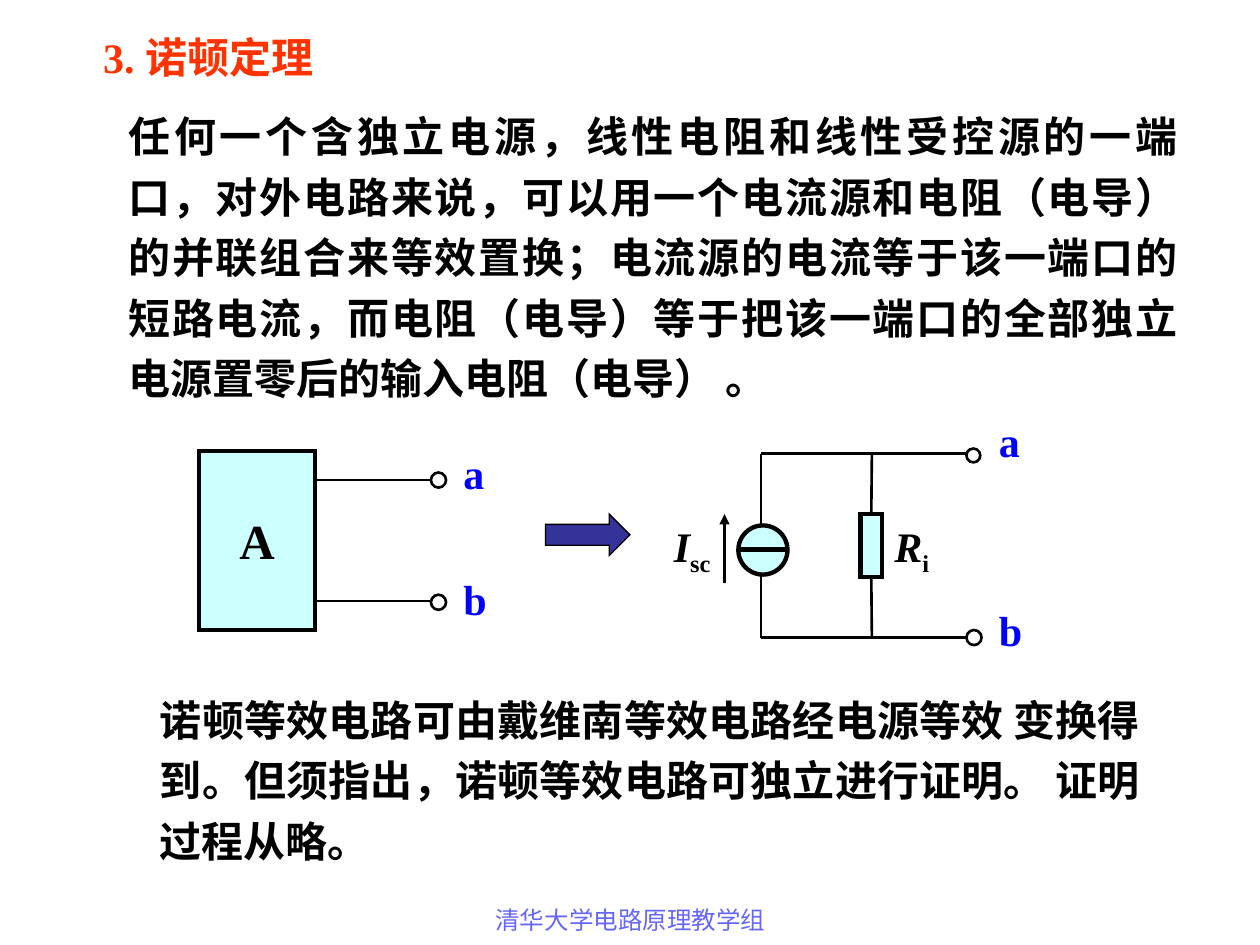
from lxml import etree
from pptx import Presentation
from pptx.dml.color import RGBColor
from pptx.enum import shapes, text
from pptx.oxml.ns import qn
from pptx.util import Inches, Pt

COLORS = {"ink": "000000", "heading": "FF3300", "terminal": "0000FF",
          "element": "CCFFFF", "arrow": "333399", "footer": "6666FF"}
KIND = shapes.MSO_SHAPE
ALIGN = text.PP_ALIGN
TOP, MIDDLE = text.MSO_ANCHOR.TOP, text.MSO_ANCHOR.MIDDLE

prs = Presentation()
prs.slide_width, prs.slide_height = Inches(10), Inches(7.5)
slide = prs.slides.add_slide(prs.slide_layouts[6])


def add_part(kind, box, fill, width):
    """Add an outlined circuit part; fill is a colour name or None."""
    part = slide.shapes.add_shape(kind, *map(Inches, box))
    part.shadow.inherit = False
    if fill:
        part.fill.solid()
        part.fill.fore_color.rgb = RGBColor.from_string(COLORS[fill])
    else:
        part.fill.background()
    part.line.color.rgb = RGBColor.from_string(COLORS["ink"])
    part.line.width = Pt(width)
    etree.SubElement(part.line._get_or_add_ln(), qn("a:miter"), lim="800000")
    return part


add_part(KIND.RIGHT_ARROW, (4.33, 4.08, 0.67, 0.33), "arrow", 0.75)
add_part(KIND.RECTANGLE, (1.58, 3.58, 0.92, 1.42), "element", 2.25)
resistor = add_part(KIND.RECTANGLE, (6.83, 4.08, 0.17, 0.5), "element", 2.5)
add_part(KIND.OVAL, (5.86, 4.17, 0.39, 0.39), "element", 2.5)
for left, top, size in [(3.42, 3.75, 0.12), (3.42, 4.72, 0.12),
                        (7.67, 3.56, 0.11), (7.67, 5, 0.12)]:
    add_part(KIND.OVAL, (left, top, size, size), None, 1.5)

# Wires: start, end, width, resistor side joined at the end, arrowhead
wires = [
    ((2.5, 3.81), (3.42, 3.81), 1.5, None, False),
    ((2.5, 4.77), (3.42, 4.77), 1.5, None, False),
    ((6.04, 3.6), (7.67, 3.6), 1.5, None, False),
    ((6.04, 5.06), (7.67, 5.06), 1.5, None, False),
    ((6.92, 3.6), (6.92, 4.08), 1.5, 0, False),
    ((6.92, 5.06), (6.92, 4.58), 1.5, 2, False),
    ((6.04, 3.6), (6.04, 4.17), 1.5, None, False),
    ((6.04, 4.56), (6.04, 5.06), 1.5, None, False),
    ((5.85, 4.36), (6.24, 4.36), 2.5, None, False),
    ((5.75, 4.63), (5.75, 4.08), 1.5, None, True),
]
for start, end, width, side, arrowhead in wires:
    wire = slide.shapes.add_connector(
        shapes.MSO_CONNECTOR.STRAIGHT, *map(Inches, start + end))
    if side is not None:
        wire.end_connect(resistor, side)
    wire.line.color.rgb = RGBColor.from_string(COLORS["ink"])
    wire.line.width = Pt(width)
    if arrowhead:
        etree.SubElement(wire.line._get_or_add_ln(), qn("a:tailEnd"), type="triangle")
    etree.SubElement(wire._element.spPr, qn("a:effectLst"))


def add_text(box, runs, color="ink", size=24, bold=True,
             wrap=True, anchor=TOP, **paragraph_format):
    """Add a text box; runs maps each run's words to its extra run properties."""
    label = slide.shapes.add_textbox(*map(Inches, box))
    frame = label.text_frame
    frame.word_wrap, frame.vertical_anchor = wrap, anchor
    paragraph = frame.paragraphs[0]
    for name, value in paragraph_format.items():
        setattr(paragraph, name, value)
    for words, extras in runs.items():
        run = paragraph.add_run()
        run.text = words
        font_format = {"name": "Times New Roman", "size": Pt(size), "bold": bold}
        for name, value in font_format.items():
            setattr(run.font, name, value)
        run.font.color.rgb = RGBColor.from_string(COLORS[color])
        for name, value in extras.items():
            run.font._element.set(name, value)


body = {"alignment": ALIGN.JUSTIFY, "line_spacing": 1.2}
centred = {"wrap": False, "anchor": MIDDLE, "alignment": ALIGN.CENTER}
italic, subscript, spaced = {"i": "1"}, {"baseline": "-25000"}, {"spc": "90"}

add_text((0.72, 0.2, 2.1, 0.5), {"3. 诺顿定理": {}}, "heading", wrap=False,
         anchor=MIDDLE, alignment=ALIGN.LEFT)
add_text((0.92, 0.75, 8.54, 2.5), {
    "任何一个含独立电源，线性电阻和线性受控源的一端 "
    "口，对外电路来说，可以用一个电流源和电阻（电导） "
    "的并联组合来等效置换；电流源的电流等于该一端口的 "
    "短路电流，而电阻（电导）等于把该一端口的全部独立 ": spaced,
    "电源置零后的输入电阻（电导） 。": {}}, **body)
add_text((1.17, 5.38, 7.98, 1.54), {
    "诺顿等效电路可由戴维南等效电路经电源等效 变换得到。"
    "但须指出，诺顿等效电路可独立进行证明。 证明过程从略。": {}},
    anchor=MIDDLE, **body)

add_text((1.8, 4, 0.48, 0.57), {"A": {}}, size=28, **centred)
add_text((3.58, 3.5, 0.36, 0.5), {"a": {}}, "terminal", **centred)
add_text((3.58, 4.5, 0.38, 0.5), {"b": {}}, "terminal", **centred)
add_text((7.83, 3.25, 0.58, 0.5), {"a": {}}, "terminal")
add_text((7.83, 4.75, 0.42, 0.5), {"b": {}}, "terminal")
add_text((5.25, 4.08, 0.75, 0.56), {"I": italic, "sc": subscript})
add_text((7, 4.08, 1.25, 0.56), {"R": italic, "i": subscript})
add_text((3.42, 7.13, 3.17, 0.52), {"清华大学电路原理教学组": {}}, "footer",
         size=14, bold=False, alignment=ALIGN.CENTER)

prs.save("out.pptx")
